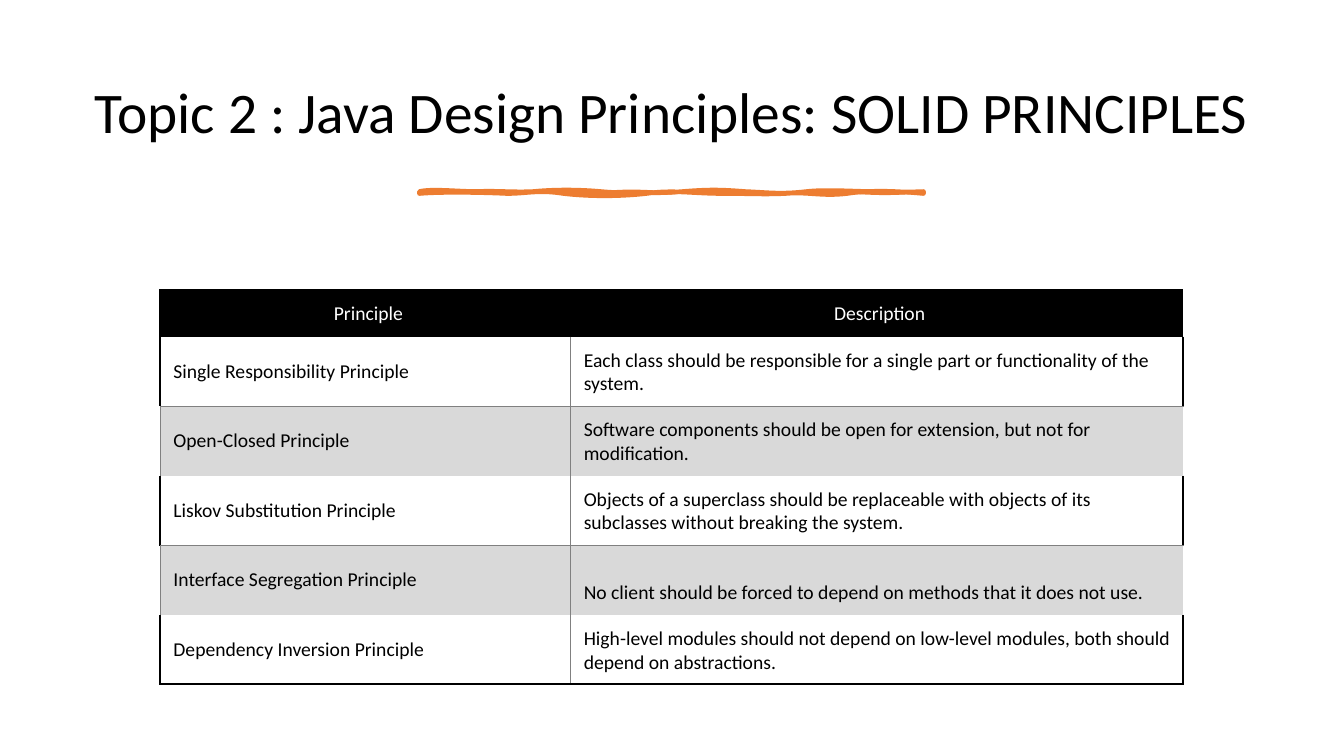
import copy
from dataclasses import dataclass

import pptx
import pptx.dml.color
import pptx.enum.text
import pptx.oxml.ns
import pptx.util
from lxml import etree

EMU_PER_PX = 9144
FONT = "Calibri"
COLORS = {
    "black": "000000",
    "white": "FFFFFF",
    "grid": "808080",
    "band": "D9D9D9",
    "accent": "ED7D31",
}
Point = tuple[int, int]
Curve = tuple[Point, Point, Point]


@dataclass(frozen=True)
class Box:
    left: int
    top: int
    width: int
    height: int


@dataclass(frozen=True)
class Border:
    color: str
    width: float


@dataclass(frozen=True)
class Principle:
    name: str
    description: str


FRAME = Border("black", 1.5)
GRID = Border("grid", 0.5)
TITLE = "Topic 2 : Java Design Principles: SOLID PRINCIPLES"
TITLE_BOX = Box(70, 46, 1193, 137)
TABLE_BOX = Box(159, 288, 1014, 392)
COLUMN_WIDTHS = (407, 607)
HEADER_HEIGHT = 46
ROW_HEIGHT = 69
HEADER = Principle("Principle", "Description")
PRINCIPLES = (
    Principle("Single Responsibility Principle",
              "Each class should be responsible for a single part or functionality of the system."),
    Principle("Open-Closed Principle",
              "Software components should be open for extension, but not for modification."),
    Principle("Liskov Substitution Principle",
              "Objects of a superclass should be replaceable with objects of its subclasses "
              "without breaking the system."),
    Principle("Interface Segregation Principle",
              "No client should be forced to depend on methods that it does not use."),
    Principle("Dependency Inversion Principle",
              "High-level modules should not depend on low-level modules, both should "
              "depend on abstractions."),
)
STROKE_START = (416, 190)
EDGE_CURVES: tuple[Curve, ...] = (
    ((428, 187), (454, 190), (473, 190)), ((492, 189), (509, 191), (529, 190)),
    ((549, 188), (574, 188), (596, 190)), ((617, 192), (653, 192), (677, 190)),
    ((702, 188), (714, 188), (739, 190)), ((763, 191), (774, 193), (800, 190)),
    ((826, 187), (867, 192), (916, 190)), ((917, 191), (916, 191), (916, 192)),
    ((895, 190), (865, 188), (840, 192)), ((815, 195), (801, 190), (779, 192)),
    ((756, 193), (747, 192), (717, 192)), ((687, 192), (667, 188), (641, 192)),
    ((614, 195), (585, 195), (559, 192)), ((534, 188), (523, 192), (503, 192)),
    ((483, 191), (438, 190), (416, 192)), ((416, 191), (416, 190), (416, 190)),
)
FILL_CURVES: tuple[Curve, ...] = (
    ((432, 189), (452, 188), (478, 190)), ((503, 191), (508, 192), (534, 190)),
    ((560, 188), (574, 192), (596, 190)), ((618, 187), (639, 188), (667, 190)),
    ((695, 191), (724, 187), (744, 190)), ((763, 192), (802, 188), (825, 190)),
    ((848, 191), (872, 193), (916, 190)), ((916, 190), (916, 191), (916, 192)),
    ((879, 194), (876, 194), (840, 192)), ((804, 189), (796, 191), (759, 192)),
    ((721, 192), (716, 188), (677, 192)), ((639, 196), (637, 190), (621, 192)),
    ((604, 193), (572, 193), (544, 192)), ((517, 190), (504, 191), (478, 192)),
    ((452, 192), (441, 189), (416, 192)), ((416, 191), (416, 190), (416, 190)),
)


def px(length: int) -> pptx.util.Emu:
    return pptx.util.Emu(length * EMU_PER_PX)


def rgb(name: str) -> pptx.dml.color.RGBColor:
    return pptx.dml.color.RGBColor.from_string(COLORS[name])


def format_paragraph(paragraph, size: int, color: str, centered: bool) -> None:
    alignment = pptx.enum.text.PP_ALIGN
    paragraph.alignment = alignment.CENTER if centered else alignment.LEFT
    for run in paragraph.runs:
        run.font.name = FONT
        run.font.size = pptx.util.Pt(size)
        run.font.bold = False
        run.font.color.rgb = rgb(color)


def place(shape, box: Box) -> None:
    shape.left, shape.top = px(box.left), px(box.top)
    shape.width, shape.height = px(box.width), px(box.height)


def add_title(slide) -> None:
    title = slide.shapes.title
    place(title, TITLE_BOX)
    text_frame = title.text_frame
    text_frame.text = TITLE
    text_frame.word_wrap = True
    text_frame.auto_size = pptx.enum.text.MSO_AUTO_SIZE.NONE
    text_frame.vertical_anchor = pptx.enum.text.MSO_ANCHOR.MIDDLE
    paragraph = text_frame.paragraphs[0]
    paragraph.line_spacing = 0.9
    format_paragraph(paragraph, 41, "black", True)


def bend_segments(outline, curves: tuple[Curve, ...], left: int, top: int) -> None:
    qn = pptx.oxml.ns.qn
    for segment, curve in zip(outline.findall(qn("a:lnTo")), curves):
        bend = etree.Element(qn("a:cubicBezTo"))
        for x, y in curve:
            etree.SubElement(bend, qn("a:pt"), x=str(px(x) - left), y=str(px(y) - top))
        outline.replace(segment, bend)


def add_brush_stroke(slide) -> None:
    qn = pptx.oxml.ns.qn
    start_x, start_y = STROKE_START
    builder = slide.shapes.build_freeform(start_x, start_y, scale=EMU_PER_PX)
    builder.add_line_segments([curve[-1] for curve in EDGE_CURVES], close=True)
    stroke = builder.convert_to_shape()
    stroke.shadow.inherit = False
    stroke.fill.solid()
    stroke.fill.fore_color.rgb = rgb("accent")
    stroke.line.color.rgb = rgb("accent")
    stroke.line.width = pptx.util.Pt(3.25)
    edge = next(stroke._element.iter(qn("a:path")))
    edge.set("w", str(stroke.width))
    edge.set("h", str(stroke.height))
    interior = copy.deepcopy(edge)
    edge.addnext(interior)
    edge.set("fill", "none")
    interior.set("stroke", "0")
    for outline, curves in ((edge, EDGE_CURVES), (interior, FILL_CURVES)):
        bend_segments(outline, curves, stroke.left, stroke.top)


def cell_borders(row: int, column: int) -> dict[str, Border]:
    first = column == 0
    if row == 0:
        return {"L": FRAME, "T": FRAME} if first else {"T": FRAME}
    if row % 2 == 0:
        return {"L": GRID, "T": GRID, "R": GRID} if first else {"L": GRID, "T": GRID}
    return {
        "L": FRAME if first else GRID,
        "R": GRID if first else FRAME,
        "B": FRAME if row == len(PRINCIPLES) else GRID,
    }


def set_borders(cell, borders: dict[str, Border]) -> None:
    qn = pptx.oxml.ns.qn
    properties = cell._tc.get_or_add_tcPr()
    for side in "LRTB":
        line = etree.SubElement(properties, qn(f"a:ln{side}"))
        border = borders.get(side)
        if border is None:
            etree.SubElement(line, qn("a:noFill"))
            continue
        line.set("w", str(pptx.util.Pt(border.width)))
        fill = etree.SubElement(line, qn("a:solidFill"))
        etree.SubElement(fill, qn("a:srgbClr"), val=COLORS[border.color])


def format_cell(cell, text: str, row: int, column: int) -> None:
    is_header = row == 0
    anchor = pptx.enum.text.MSO_ANCHOR
    cell.text_frame.text = text
    cell.margin_left, cell.margin_right = px(13), px(7)
    cell.margin_top = cell.margin_bottom = px(10)
    cell.vertical_anchor = anchor.MIDDLE if is_header or column == 0 else anchor.BOTTOM
    set_borders(cell, cell_borders(row, column))
    if row % 2:
        cell.fill.background()
    else:
        cell.fill.solid()
        cell.fill.fore_color.rgb = rgb("black" if is_header else "band")
    format_paragraph(cell.text_frame.paragraphs[0], 14,
                     "white" if is_header else "black", is_header)


def add_principles_table(slide) -> None:
    rows = (HEADER, *PRINCIPLES)
    frame = slide.shapes.add_table(len(rows), len(COLUMN_WIDTHS), 0, 0, px(1), px(1))
    table = frame.table
    table.first_row = table.horz_banding = False
    for column, width in zip(table.columns, COLUMN_WIDTHS):
        column.width = px(width)
    for row, principle in enumerate(rows):
        table.rows[row].height = px(ROW_HEIGHT if row else HEADER_HEIGHT)
        for column, text in enumerate((principle.name, principle.description)):
            format_cell(table.cell(row, column), text, row, column)
    place(frame, TABLE_BOX)


def main() -> None:
    presentation = pptx.Presentation()
    presentation.slide_width, presentation.slide_height = px(1333), px(750)
    slide = presentation.slides.add_slide(presentation.slide_layouts[5])
    add_title(slide)
    add_brush_stroke(slide)
    add_principles_table(slide)
    presentation.save("out.pptx")


if __name__ == "__main__":
    main()
